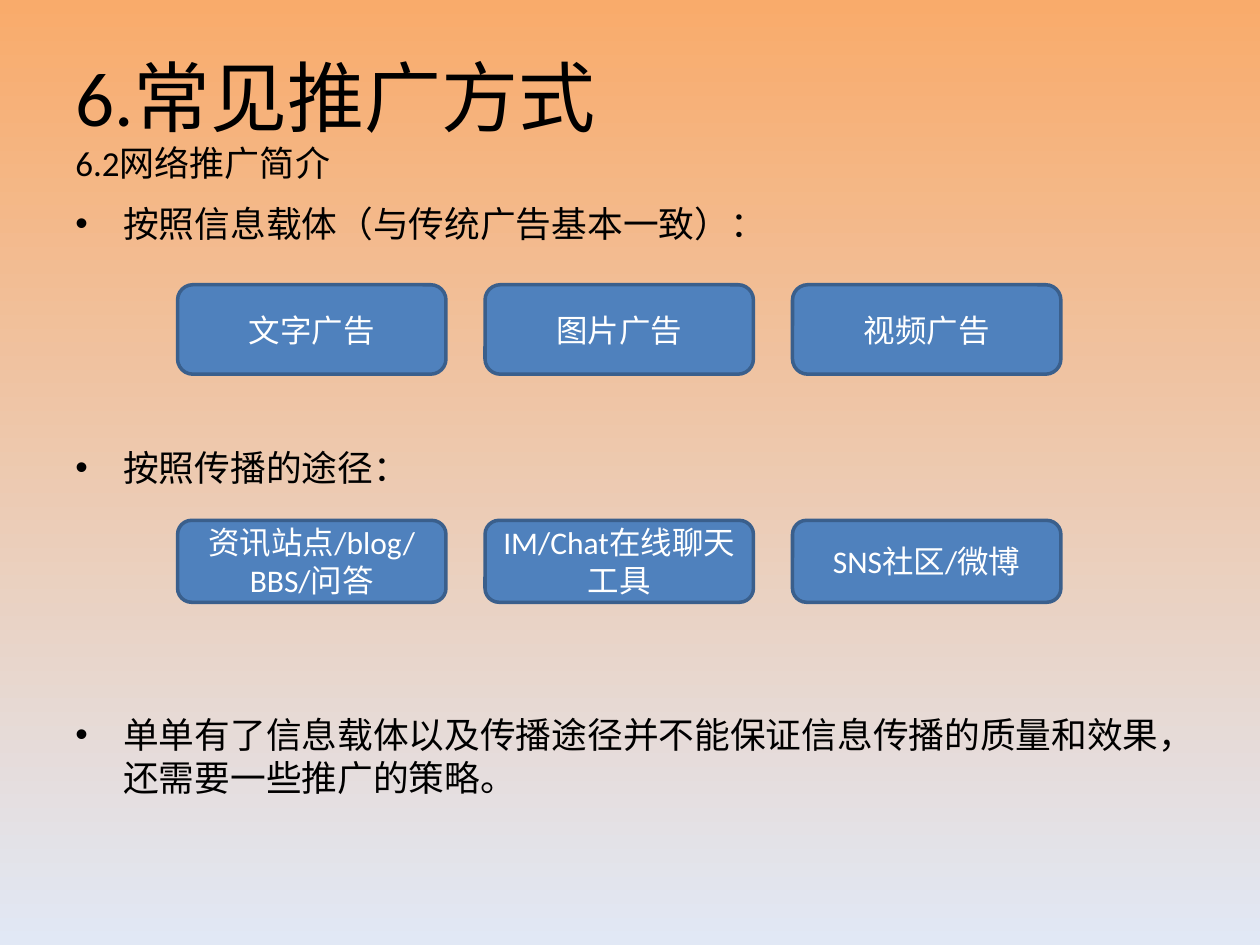
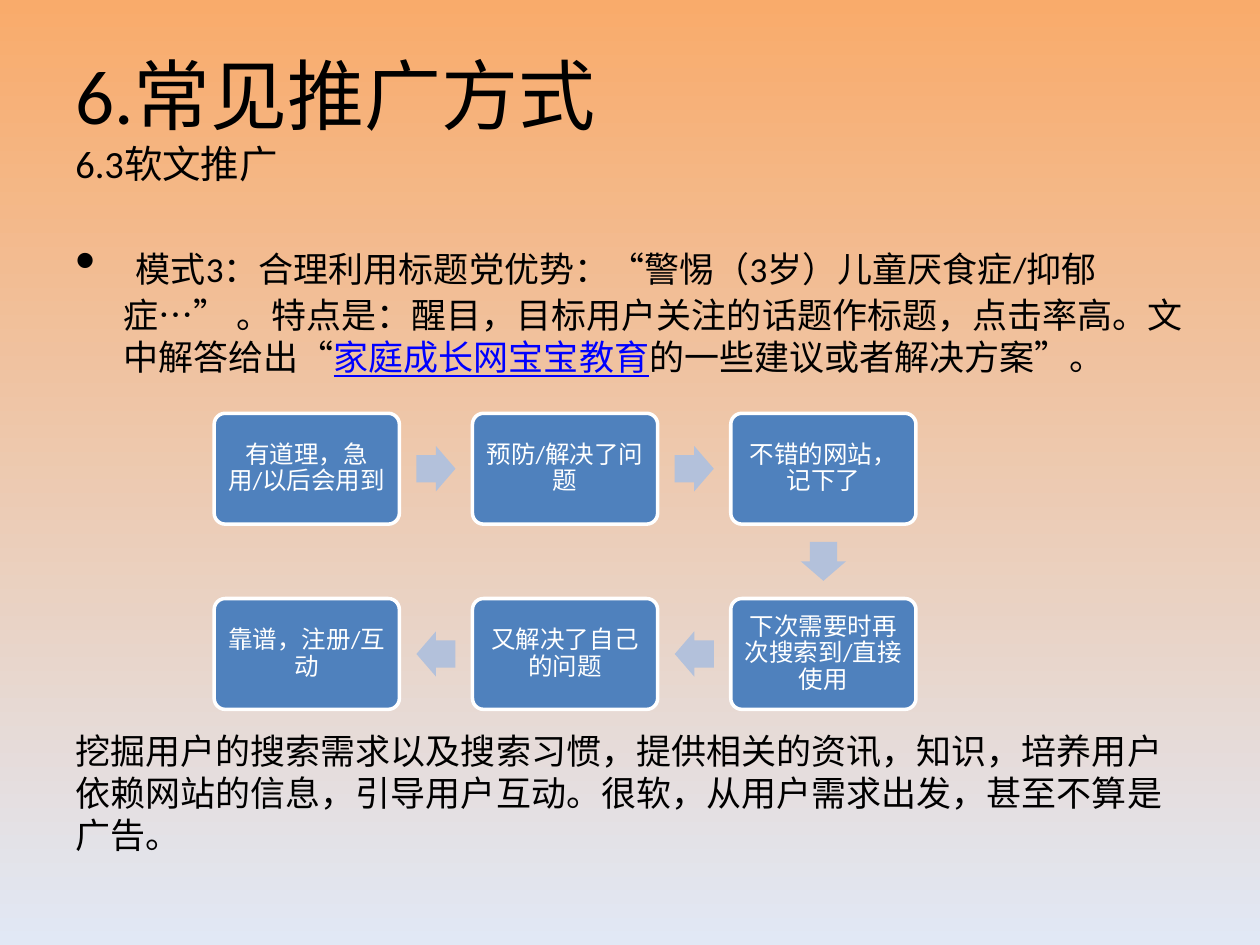
from dataclasses import dataclass
from itertools import pairwise
from math import atan2, degrees
from typing import NamedTuple

from lxml.etree import SubElement
from pptx import Presentation
from pptx.dml.color import RGBColor as Rgb
from pptx.enum.lang import MSO_LANGUAGE_ID as Lang
from pptx.enum.shapes import MSO_SHAPE as Kind
from pptx.enum.text import MSO_ANCHOR as Anchor, PP_ALIGN as Align
from pptx.oxml.ns import qn
from pptx.util import Inches, Pt


@dataclass(frozen=True)
class Theme:
    font: str = "Calibri"
    ink: str = "000000"
    white: str = "FFFFFF"
    link: str = "0000FF"
    box: str = "4F81BD"
    edge: str = "3A5F8C"
    arrow: str = "B3C1DB"
    top: str = "F9AB6B"
    base: str = "E1E8F5"
    head: float = 44
    body: float = 20
    list: float = 20.4
    label: float = 18
    step: float = 14


T = Theme()


class Run(NamedTuple):
    text: str
    size: float = T.body
    color: str = T.ink
    line: bool = False


class Area(NamedTuple):
    left: float
    top: float
    width: float
    height: float

    def mid(self) -> tuple[float, float]:
        return self.left + self.width / 2, self.top + self.height / 2

    def inches(self) -> list:
        return [Inches(side) for side in self]


class Style(NamedTuple):
    edge: str
    size: float
    inset: float
    round: float
    space: float


# Two box looks: labels on the first slide, steps on the second
LABEL = Style(T.edge, T.label, 0.1, 0.17, 1)
STEP = Style(T.white, T.step, 0.06, 0.1, 0.9)


# Text helpers
def add_run(para, part: Run) -> None:
    run = para.add_run()
    run.text = part.text
    font = run.font
    font.name, font.size = T.font, Pt(part.size)
    font.color.rgb = Rgb.from_string(part.color)
    font.language_id = Lang.SIMPLIFIED_CHINESE
    if part.line:
        font.underline = True


def add_text(slide, area: Area, parts: list[Run], dot: bool = False):
    frame = slide.shapes.add_textbox(*area.inches()).text_frame
    frame.word_wrap = True
    para = frame.paragraphs[0]
    for part in parts:
        add_run(para, part)
    if dot:
        props = para._p.get_or_add_pPr()
        props.set("marL", str(Inches(0.38)))
        props.set("indent", str(Inches(-0.38)))
        SubElement(props, qn("a:buFont")).set("typeface", "Arial")
        SubElement(props, qn("a:buChar")).set("char", "•")
    return frame


def add_title(slide, sub: Run) -> None:
    frame = add_text(slide, Area(0.5, 0.3, 9, 1.25), [Run("6.常见推广方式", T.head)])
    frame.vertical_anchor = Anchor.MIDDLE
    para = frame.paragraphs[0]
    para.add_line_break()
    add_run(para, sub)


# Shape helpers
def add_shape(slide, kind: Kind, area: Area, fill: str):
    shape = slide.shapes.add_shape(kind, *area.inches())
    shape.shadow.inherit = False
    shape.fill.solid()
    shape.fill.fore_color.rgb = Rgb.from_string(fill)
    return shape


def add_box(slide, area: Area, text: str, style: Style) -> None:
    box = add_shape(slide, Kind.ROUNDED_RECTANGLE, area, T.box)
    box.adjustments[0] = style.round
    box.line.color.rgb = Rgb.from_string(style.edge)
    box.line.width = Pt(2)
    frame = box.text_frame
    frame.word_wrap = True
    frame.vertical_anchor = Anchor.MIDDLE
    frame.margin_left = frame.margin_right = Inches(style.inset)
    frame.margin_top = frame.margin_bottom = Inches(min(style.inset, 0.05))
    para = frame.paragraphs[0]
    para.alignment = Align.CENTER
    para.line_spacing = style.space
    add_run(para, Run(text, style.size, T.white))


def add_arrow(slide, start: Area, end: Area) -> None:
    """Place an arrow halfway between two boxes, turned to the second."""
    (x1, y1), (x2, y2) = start.mid(), end.mid()
    wide, high = 0.31, 0.36
    area = Area((x1 + x2 - wide) / 2, (y1 + y2 - high) / 2, wide, high)
    arrow = add_shape(slide, Kind.RIGHT_ARROW, area, T.arrow)
    arrow.adjustments[0], arrow.adjustments[1] = 0.6, 0.5
    arrow.line.fill.background()
    arrow.rotation = round(degrees(atan2(y2 - y1, x2 - x1)))


def new_slide(deck, sub: Run):
    slide = deck.slides.add_slide(deck.slide_layouts[6])
    fill = slide.background.fill
    fill.gradient()
    fill.gradient_angle = 270
    for stop, color, place in zip(fill.gradient_stops, (T.top, T.base), (0, 1)):
        stop.color.rgb = Rgb.from_string(color)
        stop.position = place
    add_title(slide, sub)
    return slide


# Slide 1: kinds of web promotion
def add_kinds(deck) -> None:
    slide = new_slide(deck, Run("6.2网络推广简介"))
    points = [
        (1.55, 0.45, "按照信息载体（与传统广告基本一致）："),
        (3.49, 0.45, "按照传播的途径："),
        (5.61, 0.8, "单单有了信息载体以及传播途径并不能保证信息传播的质量和效果，"
                    "还需要一些推广的策略。"),
    ]
    for top, high, text in points:
        add_text(slide, Area(0.5, top, 9, high), [Run(text, T.list)], dot=True)
    rows = [
        (2.26, 0.71, ["文字广告", "图片广告", "视频广告"]),
        (4.13, 0.65, ["资讯站点/blog/BBS/问答", "IM/Chat在线聊天工具", "SNS社区/微博"]),
    ]
    for top, high, labels in rows:
        for col, text in enumerate(labels):
            add_box(slide, Area(1.41 + 2.44 * col, top, 2.13, high), text, LABEL)


# Slide 2: soft articles and the reader's path
def add_path(deck) -> None:
    slide = new_slide(deck, Run("6.3软文推广", 22))
    add_text(slide, Area(0.5, 1.75, 9, 1.4), [
        Run(" ", 32),
        Run("模式3：合理利用标题党优势：“警惕（3岁）儿童厌食症/抑郁症…” 。"
            "特点是：醒目，目标用户关注的话题作标题，点击率高。文中解答给出“"),
        Run("家庭成长网宝宝教育", color=T.link, line=True),
        Run("的一些建议或者解决方案”。"),
    ], dot=True)
    add_text(slide, Area(0.5, 5.74, 9, 1.15), [
        Run("挖掘用户的搜索需求以及搜索习惯，提供相关的资讯，知识，培养用户依赖网站的信息，"
            "引导用户互动。很软，从用户需求出发，甚至不算是广告。"),
    ])
    steps = ["有道理，急用/以后会用到", "预防/解决了问题", "不错的网站，记下了",
             "下次需要时再次搜索到/直接使用", "又解决了自己的问题", "靠谱，注册/互动"]
    # The path runs right along the top row, then back along the lower one
    areas = [Area(1.7 + 2.05 * min(i, 5 - i), 3.28 + 1.47 * (i // 3), 1.47, 0.88)
             for i in range(len(steps))]
    for area, text in zip(areas, steps):
        add_box(slide, area, text, STEP)
    for start, end in pairwise(areas):
        add_arrow(slide, start, end)


def main() -> None:
    deck = Presentation()
    deck.slide_width, deck.slide_height = Inches(10), Inches(7.5)
    add_kinds(deck)
    add_path(deck)
    deck.save("out.pptx")


if __name__ == "__main__":
    main()
